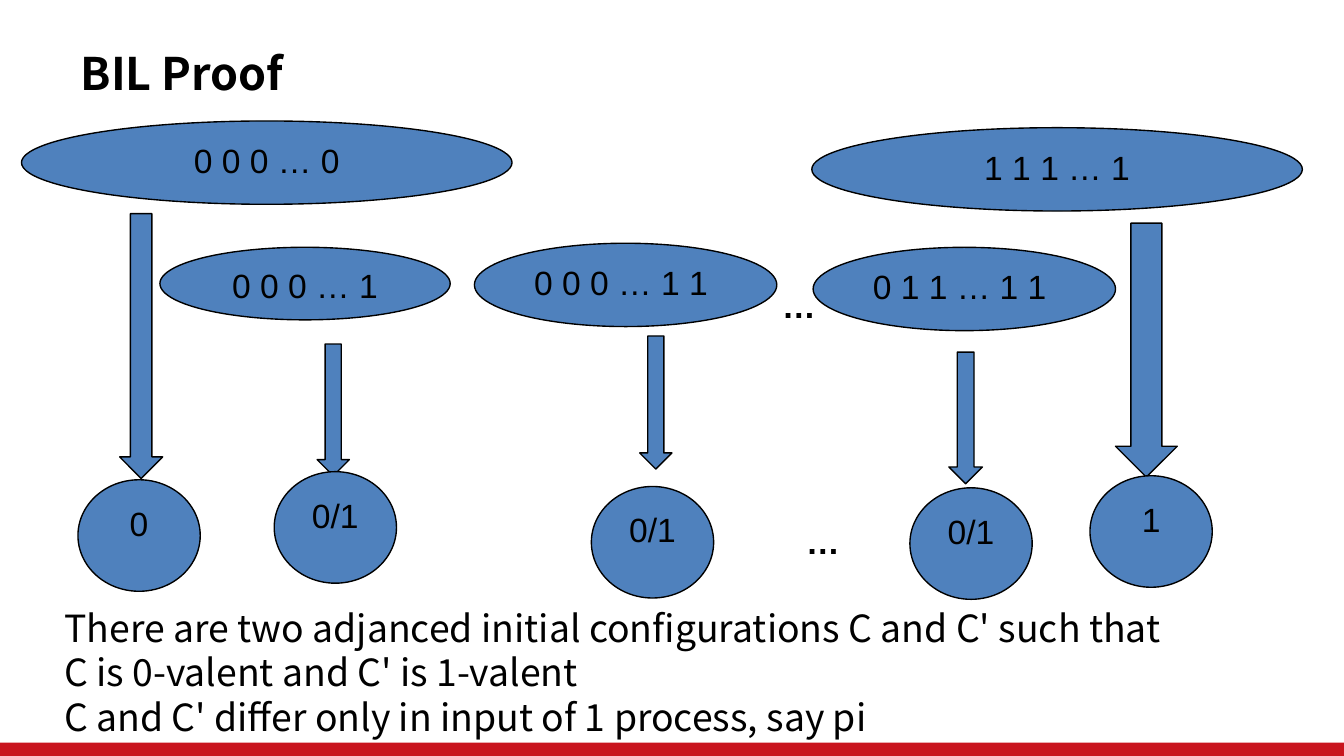
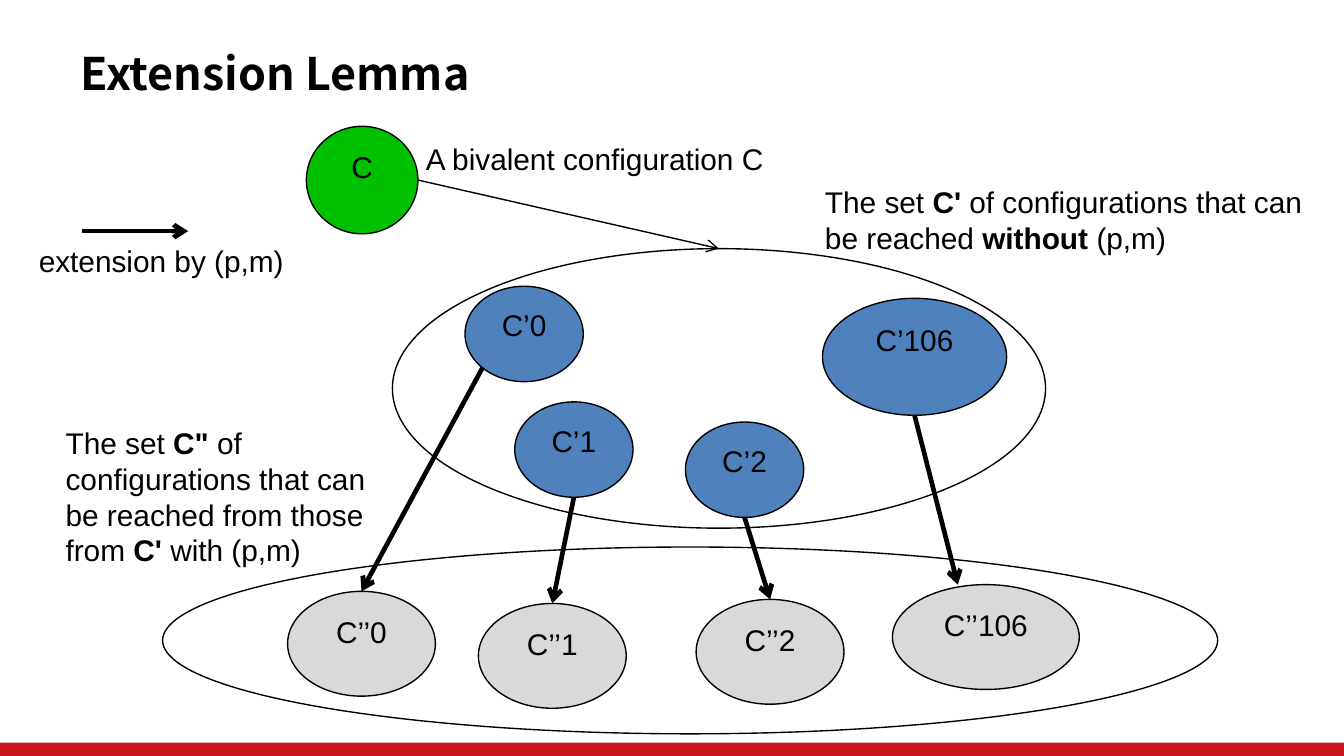
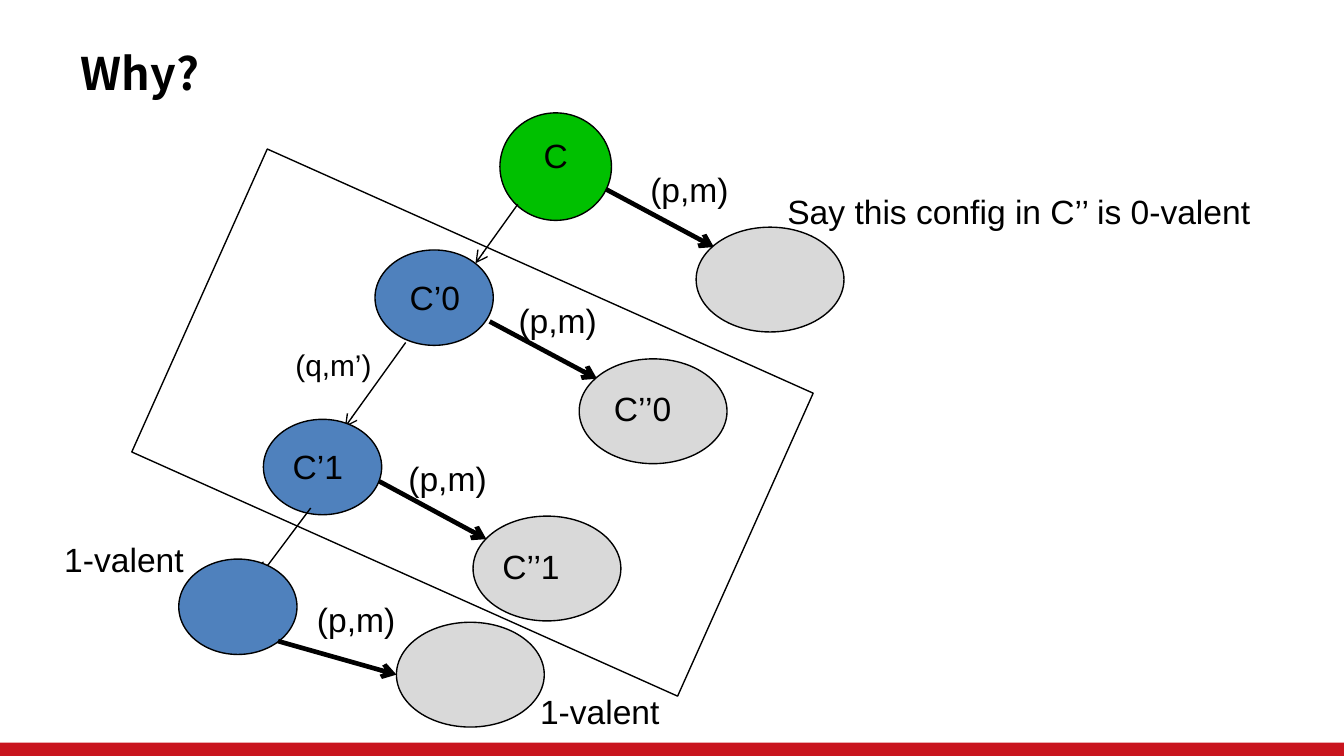
from dataclasses import dataclass
from lxml.etree import SubElement
from pptx import Presentation
from pptx.dml.color import RGBColor as RGB
from pptx.enum.shapes import MSO_CONNECTOR as Link, MSO_SHAPE as Form
from pptx.enum.text import MSO_ANCHOR as Anchor, MSO_AUTO_SIZE as Fit, PP_ALIGN as Align
from pptx.oxml.ns import qn
from pptx.util import Inches, Pt


@dataclass(frozen=True)
class Theme:
    ink: str = "000000"
    band: str = "C9151E"
    blue: str = "4F81BD"
    green: str = "00C000"
    grey: str = "D9D9D9"
    font: str = "Arial"
    head: str = "Noto Sans CJK SC"
    title: int = 24
    body: int = 20
    large: int = 18
    small: int = 16
    thin: float = 0.75
    thick: float = 2.5
    lead: float = 1.2


@dataclass(frozen=True)
class Box:
    x: float
    y: float
    w: float
    h: float

    def inner(self, x, y, w, h):
        return Box(self.x + x, self.y + y, w, h)

    def at(self, x, y):
        return self.x + x * self.w, self.y + y * self.h

    def rect(self):
        return [cells(v) for v in (self.x, self.y, self.w, self.h)]


THEME = Theme()
PAGE = Box(0, 0, 100, 56.25)


def cells(count):
    return Inches(count / 10)


def write(frame, lines, size, font=THEME.font, align=Align.LEFT, bold=False, lead=None):
    for row, pieces in enumerate(lines):
        para = frame.paragraphs[0] if row == 0 else frame.add_paragraph()
        para.alignment = align
        if lead:
            para.line_spacing = Pt(round(size * lead))
        for spot, piece in enumerate(pieces):
            if piece:
                run = para.add_run()
                run.text = piece
                run.font.name = font
                run.font.size = Pt(size)
                run.font.bold = bold or spot % 2 == 1
                run.font.color.rgb = RGB.from_string(THEME.ink)


def shape(slide, form, box, fill=None, edge=THEME.ink):
    item = slide.shapes.add_shape(form, *box.rect())
    item.shadow.inherit = False
    if fill:
        item.fill.solid()
        item.fill.fore_color.rgb = RGB.from_string(fill)
    else:
        item.fill.background()
    if edge:
        item.line.color.rgb = RGB.from_string(edge)
        item.line.width = Pt(THEME.thin)
    else:
        item.line.fill.background()
    return item


def oval(slide, box, fill=None, text="", size=THEME.large):
    item = shape(slide, Form.OVAL, box, fill)
    if text:
        item.text_frame.vertical_anchor = Anchor.TOP
        write(item.text_frame, [[text]], size, align=Align.CENTER)
    return box


def label(slide, box, lines, size=THEME.large, wrap=False, **style):
    frame = slide.shapes.add_textbox(*box.rect()).text_frame
    frame.word_wrap = wrap
    frame.auto_size = Fit.SHAPE_TO_FIT_TEXT
    write(frame, lines, size, **style)


def arrow(slide, start, end, width=THEME.thick):
    ends = [cells(v) for v in (*start, *end)]
    line = slide.shapes.add_connector(Link.STRAIGHT, *ends)
    line.line.color.rgb = RGB.from_string(THEME.ink)
    line.line.width = Pt(width)
    props = line.element.spPr
    SubElement(props.find(qn("a:ln")), qn("a:tailEnd"), type="arrow")
    SubElement(props, qn("a:effectLst"))


def page(deck, text):
    slide = deck.slides.add_slide(deck.slide_layouts[5])
    title = slide.shapes.title
    title.left, title.top, title.width, title.height = PAGE.inner(5, 2.9, 69.6, 4.9).rect()
    frame = title.text_frame
    frame.word_wrap = False
    frame.auto_size = Fit.NONE
    frame.vertical_anchor = Anchor.MIDDLE
    write(frame, [[text]], THEME.title, THEME.head, bold=True, lead=THEME.lead)
    return slide


def brand(deck, slide):
    band = shape(slide, Form.RECTANGLE, PAGE.inner(0, 55.25, 100, 1), THEME.band, None)
    band.element.nvSpPr.cNvPr.set("id", "99")
    deck.slide_master.shapes.element.append(band.element)


def chain(slide, box):
    lanes = [
        ("0 0 0 … 0", (1.6, 0, 36.5, 6.2), (8.9, 6.9, 3.2, 19.7), (5.8, 26.7), "0"),
        ("0 0 0 … 1", (11.9, 9.4, 21.6, 5.4), (23.6, 16.6, 2.4, 9.8), (20.4, 26.1), "0/1"),
        ("0 0 0 … 1 1 ", (35.3, 9.1, 22.5, 6.2), (47.6, 16, 2.4, 9.9), (44, 27.2), "0/1"),
        ("0 1 1 … 1 1 ", (60.5, 9.4, 22.5, 6.2), (70.6, 17.2, 2.5, 9.8), (67.7, 27.3), "0/1"),
        ("1 1 1 … 1", (60.4, 0.5, 36.5, 6.2), (83, 7.6, 4.6, 18.9), (81.1, 26.4), "1"),
    ]
    for bits, top, shaft, foot, value in lanes:
        oval(slide, box.inner(*top), THEME.blue, bits)
        shape(slide, Form.DOWN_ARROW, box.inner(*shaft), THEME.blue)
        oval(slide, box.inner(*foot, 9.1, 8.3), THEME.blue, value)
    for x, y in ((57.2, 11.7), (59, 29.3)):
        label(slide, box.inner(x, y, 4.5, 4), [["", "…"]])


def claim(slide, box):
    label(slide, box, [
        ["There are two adjanced initial configurations C and C' such that"],
        ["C is 0-valent and C' is 1-valent"],
        ["C and C' differ only in input of 1 process, say pi"],
    ], THEME.body, True, font=THEME.head, lead=THEME.lead)


def sets(slide, box):
    size = THEME.small
    root = oval(slide, box.inner(22.8, 0, 8.3, 8), THEME.green, "C", size)
    upper = oval(slide, box.inner(29.2, 9.1, 48.6, 20.8))
    arrow(slide, root.at(1, 0.5), upper.at(0.5, 0), THEME.thin)
    pairs = [
        ("0", (34.6, 11.9, 8.8, 7.1), (21.4, 34.6, 11, 7.8), (0.15, 0.85), 0.5),
        ("1", (38.3, 20.5, 8.8, 7.1), (35.6, 35.5, 11, 7.8), (0.5, 1), 0.5),
        ("2", (51, 22, 8.8, 7.1), (51.8, 35.2, 11, 7.8), (0.5, 1), 0.5),
        ("106", (61.2, 12.8, 13.7, 8.7), (66.4, 34.1, 13.9, 7.8), (0.5, 1), 0.35),
    ]
    for name, high, low, out, into in pairs:
        first = oval(slide, box.inner(*high), THEME.blue, "C’" + name, size)
        then = oval(slide, box.inner(*low), THEME.grey, "C’’" + name, size)
        arrow(slide, first.at(*out), then.at(into, 0))
    oval(slide, box.inner(12.1, 31.3, 78.5, 13.9))


def notes(slide, box):
    size = THEME.small
    label(slide, box.inner(30.7, 0.6, 27.4, 3.7), [["A bivalent configuration C"]], size)
    label(slide, box.inner(60.4, 3.8, 38.6, 6.4), [
        ["The set ", "C'", " of configurations that can"],
        ["be reached ", "without ", "(p,m)"],
    ], size)
    key = box.inner(6.1, 7.8, 7.9, 0)
    arrow(slide, key.at(0, 0), key.at(1, 0))
    label(slide, box.inner(1.9, 8.2, 20.5, 3.7), [["extension by (p,m)"]], size)
    label(slide, box.inner(3.9, 21.7, 25.3, 11.8), [
        ["The set ", 'C"', " of configurations that can be reached from those from ",
         "C' ", "with (p,m)"],
    ], size, True)


def steps(slide, box):
    blue, green = THEME.blue, THEME.green
    stages = [
        ((37.2, 0, 8.3, 8), green, "C", (51.8, 8.5), (0.95, 0.71), (0.12, 0.19), (10.2, 3.7)),
        ((27.9, 10.2, 8.8, 7.1), blue, "", (43.1, 18.3), (0.97, 0.75), (0.12, 0.19), (9.7, 3.2)),
        ((19.6, 22.8, 8.8, 7.1), blue, "", (35.2, 30), (0.98, 0.65), (0.09, 0.22), (9.8, 2.4)),
        ((13.3, 33.2, 8.8, 7.1), blue, "", (29.5, 37.9), (0.84, 0.86), (0, 0.5), (9.3, 2.5)),
    ]
    falls = [
        ((0.16, 0.85), (0.85, 0.14)),
        ((0.26, 0.97), (0.69, 0.08)),
        ((0.4, 0.93), (0.69, 0.17)),
    ]
    last = None
    for (spot, fill, text, goal, out, into, tag), fall in zip(stages, [None] + falls):
        node = box.inner(*spot)
        if last:
            arrow(slide, last.at(*fall[0]), node.at(*fall[1]), THEME.thin)
        oval(slide, node, fill, text)
        side = box.inner(*goal, 11, 7.8)
        arrow(slide, node.at(*out), side.at(*into))
        oval(slide, side, THEME.grey)
        label(slide, node.inner(*tag, 7.9, 4), [["(p,m)"]])
        last = node


def frame(slide, box):
    shape(slide, Form.RECTANGLE, box.inner(12.9, 10.7, 44.5, 24.7)).rotation = 24.1
    names = [
        ("C’0", 29.5, 11.7, 8.7),
        ("C’1", 20.8, 24.3, 6.3),
        ("C’’0", 44.7, 20, 8.7),
        ("C’’1", 36.4, 31.7, 8.7),
    ]
    for text, x, y, wide in names:
        label(slide, box.inner(x, y, wide, 4), [[text]], wrap=True)
    label(slide, box.inner(57.6, 5.3, 37.5, 4), [["Say this config in C’’ is 0-valent"]])
    for x, y in ((3.8, 31.2), (39.2, 42.5)):
        label(slide, box.inner(x, y, 11, 4), [["1-valent"]])
    label(slide, box.inner(21, 16.9, 7.8, 3.7), [["(q,m’)"]], THEME.small)


def main():
    deck = Presentation()
    deck.slide_width, deck.slide_height = cells(PAGE.w), cells(PAGE.h)

    proof = page(deck, "BIL Proof")
    brand(deck, proof)
    chain(proof, PAGE.inner(0, 9, 100, 35.5))
    claim(proof, PAGE.inner(3.8, 44.5, 92.5, 11.1))

    lemma = page(deck, "Extension Lemma")
    area = PAGE.inner(0, 9.4, 100, 45.2)
    sets(lemma, area)
    notes(lemma, area)

    why = page(deck, "Why?")
    area = PAGE.inner(0, 8.4, 100, 46.5)
    steps(why, area)
    frame(why, area)

    deck.save("out.pptx")


if __name__ == "__main__":
    main()
